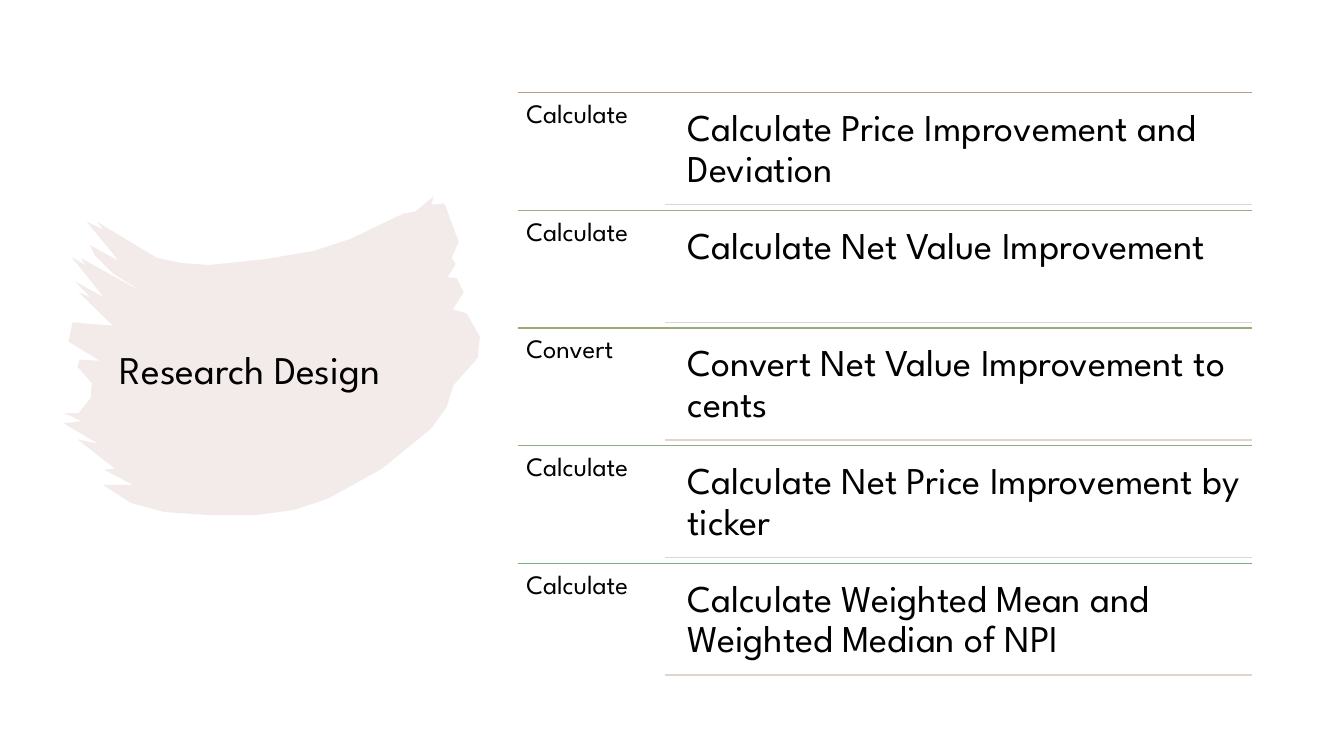
import pptx
import pptx.util
import pptx.dml.color
import pptx.enum.shapes
import pptx.enum.text
import pptx.oxml.ns
import lxml.etree

Inches = pptx.util.Inches
RGBColor = pptx.dml.color.RGBColor

FONT = "League Spartan"
BLACK = RGBColor(0x00, 0x00, 0x00)
BRUSH = RGBColor(0xC6, 0x99, 0x96)
PALE_RULE = RGBColor(0xE0, 0xD5, 0xCC)

# Step label, description and colour of the rule above the step
STEPS = [
    ("Calculate", "Calculate Price Improvement and Deviation", RGBColor(0xBA, 0x9C, 0x7F)),
    ("Calculate", "Calculate Net Value Improvement", RGBColor(0xA8, 0xA5, 0x80)),
    ("Convert", "Convert Net Value Improvement to cents", RGBColor(0x99, 0xAA, 0x74)),
    ("Calculate", "Calculate Net Price Improvement by ticker", RGBColor(0x8D, 0xAC, 0x82)),
    ("Calculate", "Calculate Weighted Mean and Weighted Median of NPI", RGBColor(0x78, 0xAF, 0x80)),
]
LIST_LEFT, LIST_RIGHT, LIST_TOP = 5.14, 12.42, 0.92
STEP_HEIGHT = 1.167

# Outline of the brush stroke, clockwise from its upper right tip
BRUSH_OUTLINE = [
    (4.3, 1.95), (4.28, 2.03), (4.41, 2.02), (4.55, 2.4), (4.48, 2.56), (4.52, 2.62),
    (4.44, 2.75), (4.53, 2.76), (4.6, 2.9), (4.49, 3.07), (4.63, 3.11), (4.76, 3.34),
    (4.74, 3.55), (4.5, 3.82), (4.43, 4.04), (4.28, 4.25), (3.79, 4.65), (3.25, 4.95),
    (2.91, 5.06), (2.55, 5.11), (2.06, 5.11), (1.63, 5.08), (1.3, 4.99), (1.02, 4.81),
    (1.32, 4.81), (1.03, 4.66), (1.14, 4.65), (0.77, 4.36), (0.97, 4.4), (0.63, 4.2),
    (0.81, 4.18), (0.64, 4.1), (0.78, 4.1), (0.9, 3.95), (0.91, 3.8), (0.77, 3.64),
    (0.79, 3.57), (0.99, 3.58), (0.68, 3.39), (0.72, 3.2), (1.12, 3.23), (0.78, 2.9),
    (0.9, 2.95), (0.74, 2.79), (1.03, 2.95), (0.71, 2.55), (0.85, 2.63), (0.8, 2.56),
    (1.45, 2.92), (1.13, 2.72), (0.94, 2.53), (0.89, 2.43), (1.18, 2.59), (0.86, 2.2),
    (1.03, 2.28), (0.96, 2.2), (1.56, 2.56), (1.8, 2.61), (2.07, 2.63), (2.64, 2.57),
    (3.11, 2.49), (3.48, 2.37), (4, 2.12), (4.12, 2.1),
]


def write_text(shape, text, size, inset, anchor):
    frame = shape.text_frame
    frame.text = text
    frame_format = {
        "word_wrap": True,
        "auto_size": pptx.enum.text.MSO_AUTO_SIZE.NONE,
        "vertical_anchor": anchor,
        "margin_left": Inches(inset), "margin_right": Inches(inset),
        "margin_top": Inches(inset), "margin_bottom": Inches(inset),
    }
    for name, value in frame_format.items():
        setattr(frame, name, value)
    paragraph = frame.paragraphs[0]
    paragraph.alignment = pptx.enum.text.PP_ALIGN.LEFT
    paragraph.line_spacing = 0.9
    font = paragraph.runs[0].font
    for name, value in {"name": FONT, "size": pptx.util.Pt(size)}.items():
        setattr(font, name, value)
    font.color.rgb = BLACK


def add_rule(left, y, color):
    rule = slide.shapes.add_connector(
        pptx.enum.shapes.MSO_CONNECTOR.STRAIGHT,
        Inches(left), Inches(y), Inches(LIST_RIGHT), Inches(y))
    rule.line.color.rgb = color
    rule.line.width = pptx.util.Pt(1)
    lxml.etree.SubElement(rule._element.spPr, pptx.oxml.ns.qn("a:effectLst"))


presentation = pptx.Presentation()
presentation.slide_width = Inches(13.33)
presentation.slide_height = Inches(7.5)
slide = presentation.slides.add_slide(presentation.slide_layouts[5])
title = slide.shapes.title

# Brush stroke, placed behind the title
points = [(Inches(x), Inches(y)) for x, y in BRUSH_OUTLINE]
builder = slide.shapes.build_freeform(*points[0])
builder.add_line_segments(points[1:], close=True)
brush = builder.convert_to_shape()
brush.shadow.inherit = False
brush.fill.solid()
brush.fill.fore_color.rgb = BRUSH
brush.line.fill.background()
brush_color = brush._element.spPr.find(".//" + pptx.oxml.ns.qn("a:srgbClr"))
lxml.etree.SubElement(brush_color, pptx.oxml.ns.qn("a:alpha"), val="20000")
title._element.addprevious(brush._element)

# Title
title_place = {"left": 1.09, "top": 2.87, "width": 3.29, "height": 1.64}
for name, value in title_place.items():
    setattr(title, name, Inches(value))
write_text(title, "Research Design", 28, 0.1, pptx.enum.text.MSO_ANCHOR.MIDDLE)

# Steps: coloured rule, label, description and pale rule
for index, (label, description, color) in enumerate(STEPS):
    top = LIST_TOP + index * STEP_HEIGHT
    add_rule(LIST_LEFT, top, color)
    label_box = slide.shapes.add_textbox(
        Inches(LIST_LEFT), Inches(top), Inches(1.45), Inches(STEP_HEIGHT))
    write_text(label_box, label, 19, 0.08, pptx.enum.text.MSO_ANCHOR.TOP)
    description_box = slide.shapes.add_textbox(
        Inches(6.71), Inches(top + 0.05), Inches(5.71), Inches(1.06))
    write_text(description_box, description, 27, 0.11, pptx.enum.text.MSO_ANCHOR.TOP)
    add_rule(6.6, top + 1.11, PALE_RULE)

presentation.save("out.pptx")
